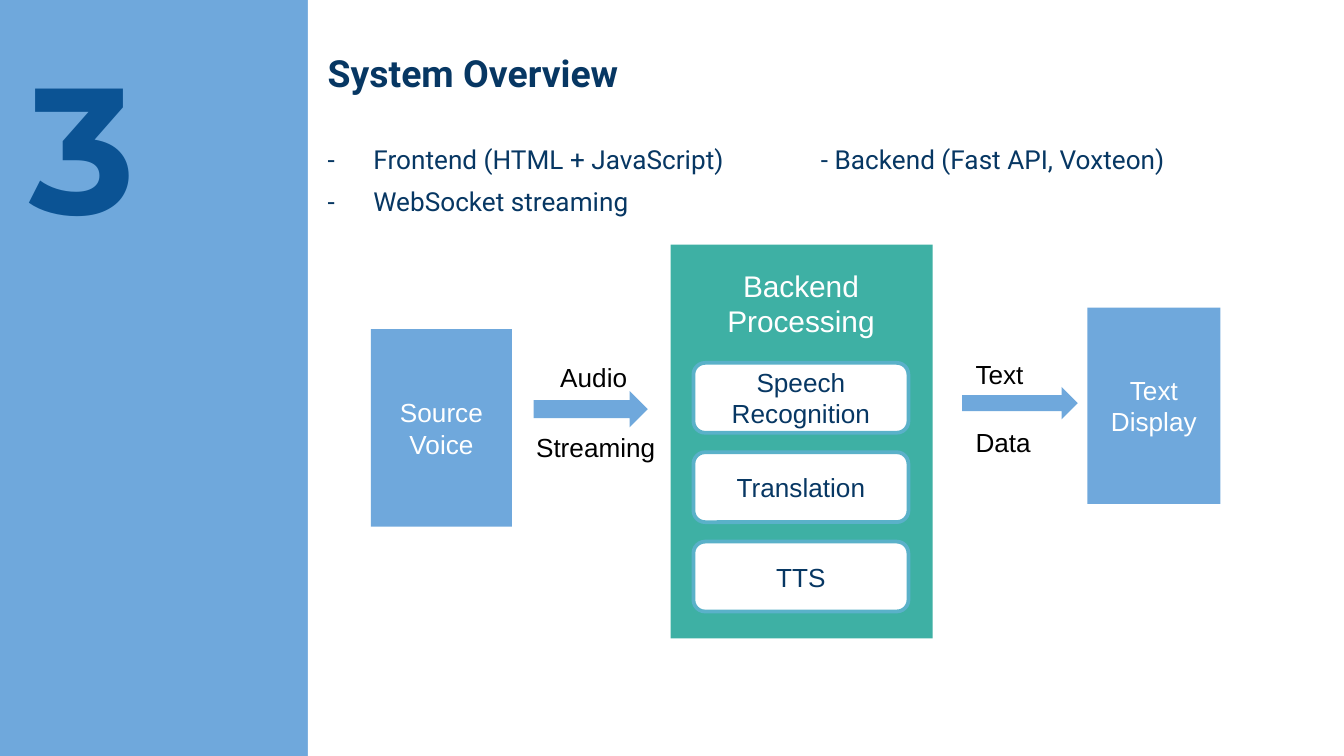
"""Build the System Overview slide: a speech pipeline from source voice to text display."""
from lxml import etree
from pptx import Presentation
from pptx.dml.color import RGBColor
from pptx.enum.shapes import MSO_SHAPE
from pptx.enum.text import MSO_ANCHOR, PP_ALIGN
from pptx.oxml.ns import qn
from pptx.util import Inches, Pt

RECTANGLE = MSO_SHAPE.RECTANGLE
ROUNDED = MSO_SHAPE.ROUNDED_RECTANGLE
ARROW = MSO_SHAPE.RIGHT_ARROW
LEFT, CENTER = PP_ALIGN.LEFT, PP_ALIGN.CENTER
TOP, MIDDLE = MSO_ANCHOR.TOP, MSO_ANCHOR.MIDDLE

SKY = RGBColor(0x6F, 0xA8, 0xDC)
NAVY = RGBColor(0x07, 0x37, 0x63)
BLUE = RGBColor(0x0B, 0x53, 0x94)
TEAL = RGBColor(0x3E, 0xB0, 0xA4)
AQUA = RGBColor(0x5A, 0xB1, 0xC9)
WHITE = RGBColor(0xFF, 0xFF, 0xFF)
BLACK = RGBColor(0x00, 0x00, 0x00)

presentation = Presentation()
presentation.slide_width = Inches(10)
presentation.slide_height = Inches(5.625)
CELL = presentation.slide_width / 100
ROWS = presentation.slide_height / CELL
slide = presentation.slides.add_slide(presentation.slide_layouts[6])
slide.background.fill.solid()
slide.background.fill.fore_color.rgb = SKY


def add_box(kind, cells, fill, line=None):
    """Add a preset shape, or a text box when kind is None, at grid cells."""
    place = [round(cell * CELL) for cell in cells]
    if kind is None:
        shape = slide.shapes.add_textbox(*place)
    else:
        shape = slide.shapes.add_shape(kind, *place)
        shape.shadow.inherit = False
        shape.fill.solid()
        shape.fill.fore_color.rgb = fill
        if line is None:
            shape.line.fill.background()
        else:
            shape.line.color.rgb = line
            shape.line.width = Pt(2)
    shape.text_frame.word_wrap = True
    return shape


def write(shape, lines, size, color, font="Arial", bold=False, align=CENTER, anchor=MIDDLE):
    """Write one paragraph per line and return the paragraphs."""
    frame = shape.text_frame
    frame.vertical_anchor = anchor
    paragraphs = []
    for line in lines:
        paragraph = frame.add_paragraph() if paragraphs else frame.paragraphs[0]
        paragraph.alignment = align
        run = paragraph.add_run()
        run.text = line
        run.font.name = font
        run.font.size = Pt(size)
        run.font.bold = bold
        run.font.color.rgb = color
        paragraphs.append(paragraph)
    return paragraphs


add_box(RECTANGLE, (22.9, 0, 77.1, ROWS), WHITE)

body = add_box(None, (23.4, 2.7, 75.4, 14.6), None)
number = add_box(None, (1.2, 1.6, 19.8, 13.7), None)
for shape in (body, number):
    frame = shape.text_frame
    frame.margin_left = frame.margin_right = Inches(0.1)
    frame.margin_top = frame.margin_bottom = Inches(0.1)

body_lines = ["System Overview",
              "-\tFrontend (HTML + JavaScript)\t- Backend (Fast API, Voxteon)",
              "-\tWebSocket streaming"]
paragraphs = write(body, body_lines, 14, NAVY, "Roboto", align=LEFT, anchor=TOP)
heading = paragraphs[0].runs[0].font
heading.size = Pt(20)
heading.bold = True
for paragraph, space in zip(paragraphs, (6, 26, 6)):
    paragraph.space_before = Pt(space)
for paragraph in paragraphs[1:]:
    tabs = etree.SubElement(paragraph._p.get_or_add_pPr(), qn("a:tabLst"))
    for column in (3.4, 36.7):
        etree.SubElement(tabs, qn("a:tab"), pos=str(round(column * CELL)), algn="l")

write(number, ["3"], 96, BLUE, "Montserrat", True, LEFT, TOP)

source = add_box(RECTANGLE, (27.6, 24.5, 10.5, 14.7), SKY)
write(source, ["Source Voice"], 14, WHITE)
display = add_box(RECTANGLE, (80.9, 22.9, 9.9, 14.6), SKY)
write(display, ["Text", "Display"], 14, WHITE)

add_box(RECTANGLE, (49.9, 18.2, 19.5, 29.3), TEAL)
backend = add_box(None, (50.6, 19.4, 18, 6.4), None)
write(backend, ["Backend", "Processing"], 16, WHITE, anchor=TOP)
for index, stage in enumerate(["Speech Recognition", "Translation", "TTS"]):
    box = add_box(ROUNDED, (51.6, 27 + index * 6.65, 16, 5.2), WHITE, AQUA)
    write(box, [stage], 14, NAVY)

for cells in [(39.7, 29.1, 8.5, 2.7), (71.6, 28.8, 8.6, 2.4)]:
    add_box(ARROW, cells, SKY)

labels = [("Audio", 40.7, 26.4, 9.9), ("Streaming", 38.9, 31.6, 11.2),
          ("Text", 71.6, 26.2, 9.9), ("Data", 71.6, 31.2, 9.9)]
for label, left, top, width in labels:
    box = add_box(None, (left, top, width, 3.4), None)
    write(box, [label], 14, BLACK, align=LEFT, anchor=TOP)

presentation.save("out.pptx")
